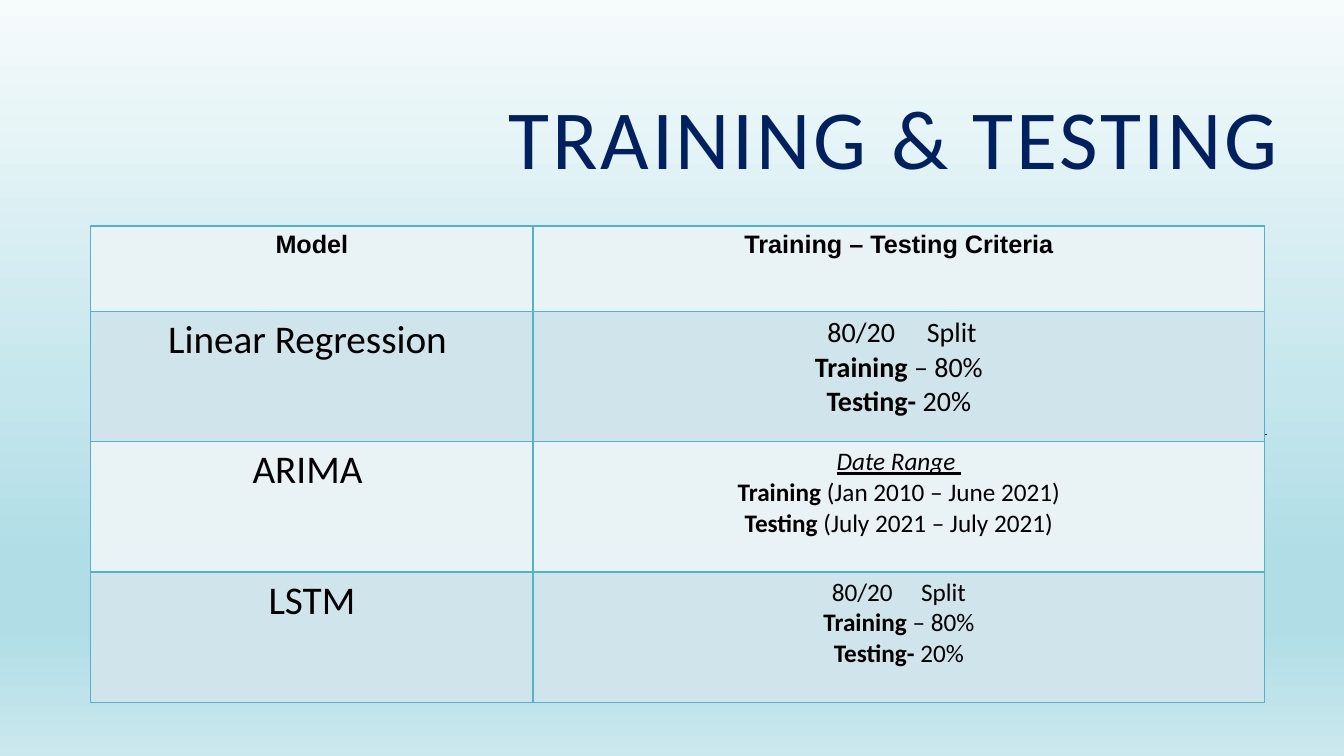
from dataclasses import dataclass

from lxml import etree
from pptx import Presentation
from pptx.dml.color import RGBColor
from pptx.enum.shapes import MSO_CONNECTOR
from pptx.enum.text import MSO_ANCHOR, PP_ALIGN
from pptx.oxml.ns import qn
from pptx.util import Pt

MID, RIGHT = PP_ALIGN.CENTER, PP_ALIGN.RIGHT
CENTER = MSO_ANCHOR.MIDDLE
LINE = MSO_CONNECTOR.STRAIGHT

BLACK, NAVY, TEAL = "000000", "002060", "50B4C8"
BANDS = ("E9F2F5", "D0E5EB")
SKY = ((0, "F6FBFC"), (52, "C5E6ED"), (74, "B0DDE6"), (83, "B0DDE6"), (100, "CBE8EE"))
COLS = (316, 522.6)
ROWS = (60.8, 93.2, 93.2, 93.2)


@dataclass(frozen=True)
class Span:
    text: str
    bold: bool = False
    slant: bool = False
    gap: float = 0


Lines = tuple[tuple[Span, ...], ...]


@dataclass(frozen=True)
class Row:
    model: str
    rule: Lines
    big: float
    small: float
    font: str = "Calibri"
    bold: bool = False


def paint(code: str) -> RGBColor:
    return RGBColor.from_string(code)


def plain(text: str) -> Lines:
    return ((Span(text),),)


def pair(train: str, test: str, dash: str = "") -> Lines:
    """Give the training line and the testing line."""
    return ((Span("Training", True), Span(train)),
            (Span("Testing" + dash, True), Span(test)))


def split(start: str, gap: float) -> Lines:
    """Give the 80/20 lines, with a wide space in the first."""
    head = (Span(start), Span(" ", gap=gap), Span("Split"))
    return (head, *pair(" – 80%", " 20%", "-"))


def write(frame, lines: Lines, *, size: float, color: str = BLACK,
          font: str = "Calibri", align=MID, bold: bool = False,
          pitch: float = 1.0) -> None:
    for i, line in enumerate(lines):
        para = frame.add_paragraph() if i else frame.paragraphs[0]
        para.alignment = align
        para.line_spacing = pitch
        for span in line:
            run = para.add_run()
            run.text = span.text
            run.font.size = Pt(size)
            run.font.name = font
            run.font.bold = bold or span.bold
            run.font.italic = run.font.underline = span.slant
            run.font.color.rgb = paint(color)
            if span.gap:
                run.font._element.set("spc", str(round(span.gap * 100)))


def add_title(slide, text: str) -> None:
    box = slide.shapes.add_textbox(Pt(327.6), Pt(77.8), Pt(593.3), Pt(50.4))
    frame = box.text_frame
    frame.word_wrap = True
    frame.vertical_anchor = CENTER
    write(frame, ((Span(text, gap=2),),), size=60, color=NAVY,
          align=RIGHT, pitch=0.85)


def edge(cell) -> None:
    """Draw the four borders of a cell; they must precede its fill."""
    props = cell._tc.get_or_add_tcPr()
    for i, side in enumerate(("lnL", "lnR", "lnT", "lnB")):
        line = etree.Element(qn(f"a:{side}"), w=str(Pt(1)))
        solid = etree.SubElement(line, qn("a:solidFill"))
        etree.SubElement(solid, qn("a:srgbClr"), val=TEAL)
        props.insert(i, line)


def add_sky(slide) -> None:
    fill = slide.background.fill
    fill.gradient()
    fill.gradient_angle = 270
    stops = next(slide.element.iter(qn("a:gsLst")))
    for old in list(stops):
        stops.remove(old)
    for pos, code in SKY:
        stop = etree.SubElement(stops, qn("a:gs"), pos=str(pos * 1000))
        etree.SubElement(stop, qn("a:srgbClr"), val=code)


def add_rule(slide, x: float, y: float, end: float) -> None:
    rule = slide.shapes.add_connector(LINE, Pt(x), Pt(y), Pt(end), Pt(y))
    rule.line.color.rgb = paint("162F33")
    rule.line.width = Pt(0.75)
    etree.SubElement(rule._element.spPr, qn("a:effectLst"))


def add_grid(slide, rows: tuple[Row, ...]) -> None:
    table = slide.shapes.add_table(len(rows), len(COLS), Pt(64.8), Pt(161.5),
                                   Pt(sum(COLS)), Pt(sum(ROWS))).table
    table.first_row = table.horz_banding = False
    for col, width in zip(table.columns, COLS):
        col.width = Pt(width)
    for i, row in enumerate(rows):
        table.rows[i].height = Pt(ROWS[i])
        parts = ((plain(row.model), row.big), (row.rule, row.small))
        for j, (lines, size) in enumerate(parts):
            cell = table.cell(i, j)
            cell.fill.solid()
            cell.fill.fore_color.rgb = paint(BANDS[i % 2])
            edge(cell)
            write(cell.text_frame, lines, size=size, font=row.font, bold=row.bold)


def main() -> None:
    deck = Presentation()
    deck.slide_width, deck.slide_height = Pt(960), Pt(540)
    slide = deck.slides.add_slide(deck.slide_layouts[6])
    add_sky(slide)
    add_rule(slide, 676.8, 310.3, 905)
    add_title(slide, "TRAINING & TESTING")

    dates = ((Span("Date Range ", slant=True),),
             *pair(" (Jan 2010 – June 2021)", " (July 2021 – July 2021)"))
    add_grid(slide, (
        Row("Model", plain("Training – Testing Criteria"), 18, 18, "Arial", True),
        Row("Linear Regression ", split(" 80/20", 18), 28, 20),
        Row("ARIMA ", dates, 28, 18),
        Row("LSTM", split("80/20", 16.3), 28, 18),
    ))
    deck.save("out.pptx")


if __name__ == "__main__":
    main()
